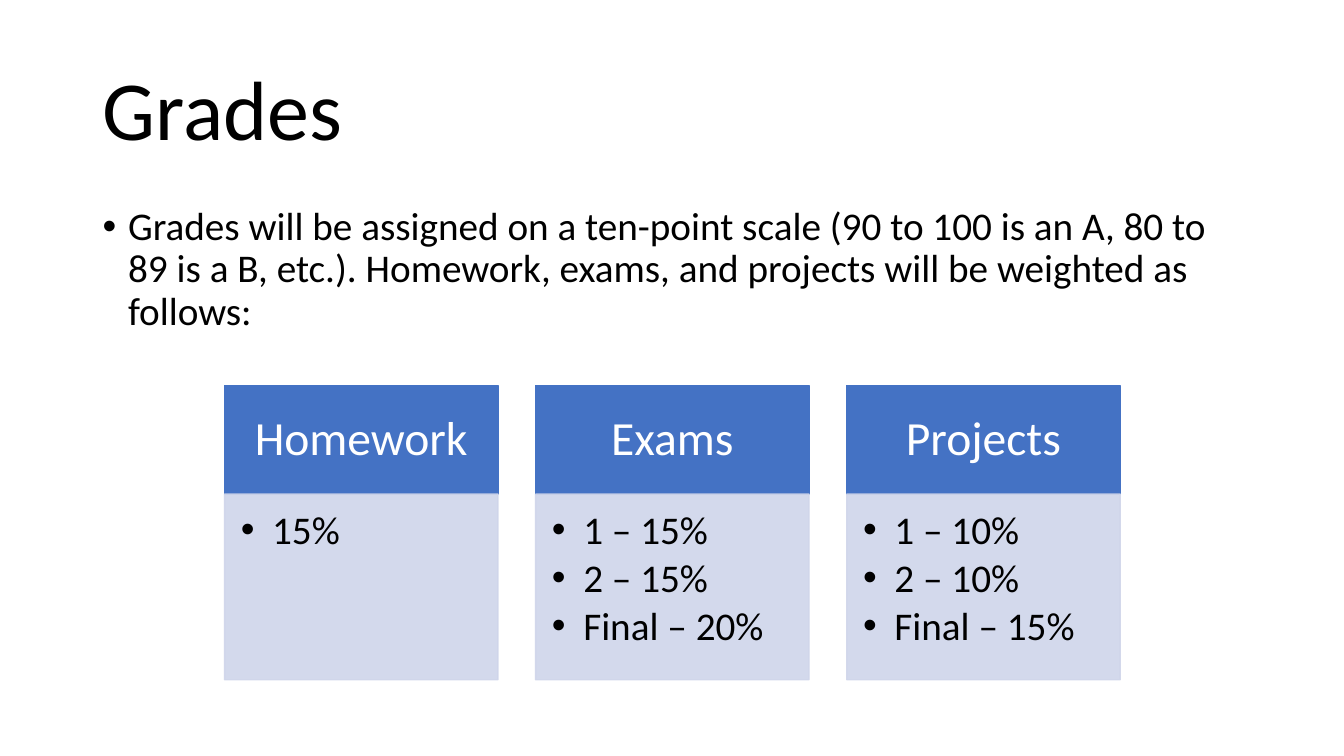
from dataclasses import dataclass

from lxml.etree import SubElement
from pptx import Presentation
from pptx.dml.color import RGBColor
from pptx.enum.shapes import MSO_SHAPE
from pptx.enum.text import MSO_ANCHOR, PP_ALIGN
from pptx.oxml.ns import qn
from pptx.util import Cm, Pt

HEADLINE = "Grades"
POLICY = ("Grades will be assigned on a ten-point scale (90 to 100 is an A, 80 to 89 is a B, etc.). "
          "Homework, exams, and projects will be weighted as follows:")
WEIGHTS = {
    "Homework": ["15%"],
    "Exams": ["1 – 15%", "2 – 15%", "Final – 20%"],
    "Projects": ["1 – 10%", "2 – 10%", "Final – 15%"],
}


@dataclass(frozen=True)
class Theme:
    font: str = "Calibri"
    ink: RGBColor = RGBColor(0, 0, 0)
    on_accent: RGBColor = RGBColor(255, 255, 255)
    accent: RGBColor = RGBColor(0x44, 0x72, 0xC4)
    pale: RGBColor = RGBColor(0xCF, 0xD5, 0xEA)
    pale_opacity: int = 90
    headline_size: int = 60
    category_size: int = 34
    body_size: int = 28


THEME = Theme()

# Lengths in centimetres
MARGIN, TEXT_WIDTH, TEXT_HEIGHT = 2.34, 29.21, 3.68
HEADLINE_TOP, POLICY_TOP = 1.02, 5.08
COLUMN_LEFT, COLUMN_WIDTH, COLUMN_GAP = 5.66, 6.89, 0.95
CATEGORY_TOP, CATEGORY_HEIGHT, ITEMS_HEIGHT = 9.72, 2.73, 4.68
TEXT_INSETS = (0.25, 0.13, 0.25, 0.13)
CATEGORY_INSETS = (0.66, 0.38, 0.66, 0.38)
ITEMS_INSETS = (0.41, 0.41, 0.56, 0.61)
POLICY_INDENT, ITEM_INDENT = 0.64, 0.79


def add_bullet(paragraph, indent):
    properties = paragraph._p.get_or_add_pPr()
    properties.set("marL", str(Cm(indent)))
    properties.set("indent", str(-Cm(indent)))
    SubElement(properties, qn("a:buFont")).set("typeface", "Arial")
    SubElement(properties, qn("a:buChar")).set("char", "•")


def write(holder, lines, size, color, insets, anchor=MSO_ANCHOR.TOP,
          align=PP_ALIGN.LEFT, before=0, after=0, indent=None):
    """Fill a shape or text box with one paragraph per line, bulleted if indented."""
    frame = holder.text_frame
    frame.word_wrap = True
    frame.vertical_anchor = anchor
    (frame.margin_left, frame.margin_top,
     frame.margin_right, frame.margin_bottom) = map(Cm, insets)
    frame.text = "\n".join(lines)
    for paragraph in frame.paragraphs:
        paragraph.alignment = align
        paragraph.line_spacing = 0.9
        paragraph.space_before, paragraph.space_after = Pt(before), Pt(after)
        paragraph.font.name, paragraph.font.size = THEME.font, Pt(size)
        paragraph.font.color.rgb = color
        if indent:
            add_bullet(paragraph, indent)


def add_panel(slide, left, top, height, color, opacity=100):
    panel = slide.shapes.add_shape(
        MSO_SHAPE.RECTANGLE, Cm(left), Cm(top), Cm(COLUMN_WIDTH), Cm(height))
    panel.shadow.inherit = False
    panel.line.width = Pt(1)
    for fill in (panel.fill, panel.line.fill):
        fill.solid()
        fill.fore_color.rgb = color
    if opacity < 100:
        for tint in panel._element.spPr.iter(qn("a:srgbClr")):
            SubElement(tint, qn("a:alpha")).set("val", str(opacity * 1000))
    return panel


def add_text_area(slide, top):
    return slide.shapes.add_textbox(Cm(MARGIN), Cm(top), Cm(TEXT_WIDTH), Cm(TEXT_HEIGHT))


def main():
    deck = Presentation()
    deck.slide_width, deck.slide_height = Cm(33.87), Cm(19.05)
    slide = deck.slides.add_slide(deck.slide_layouts[6])

    write(add_text_area(slide, HEADLINE_TOP), [HEADLINE], THEME.headline_size, THEME.ink,
          TEXT_INSETS, anchor=MSO_ANCHOR.MIDDLE)
    write(add_text_area(slide, POLICY_TOP), [POLICY], THEME.body_size, THEME.ink,
          TEXT_INSETS, before=6, indent=POLICY_INDENT)

    for column, (category, items) in enumerate(WEIGHTS.items()):
        left = COLUMN_LEFT + column * (COLUMN_WIDTH + COLUMN_GAP)
        category_panel = add_panel(slide, left, CATEGORY_TOP, CATEGORY_HEIGHT, THEME.accent)
        write(category_panel, [category], THEME.category_size, THEME.on_accent,
              CATEGORY_INSETS, anchor=MSO_ANCHOR.MIDDLE, align=PP_ALIGN.CENTER)
        items_panel = add_panel(slide, left, CATEGORY_TOP + CATEGORY_HEIGHT, ITEMS_HEIGHT,
                                THEME.pale, THEME.pale_opacity)
        write(items_panel, items, THEME.body_size, THEME.ink,
              ITEMS_INSETS, after=4, indent=ITEM_INDENT)

    deck.save("out.pptx")


if __name__ == "__main__":
    main()
